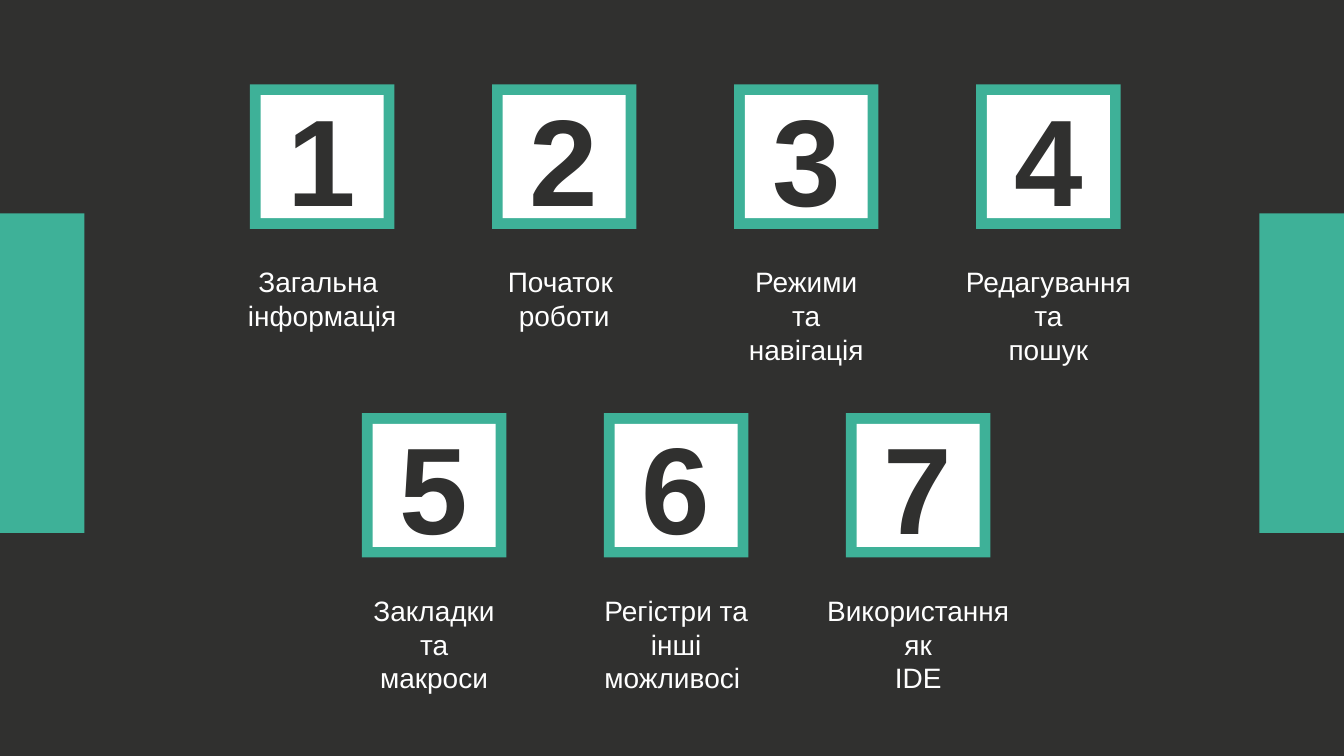
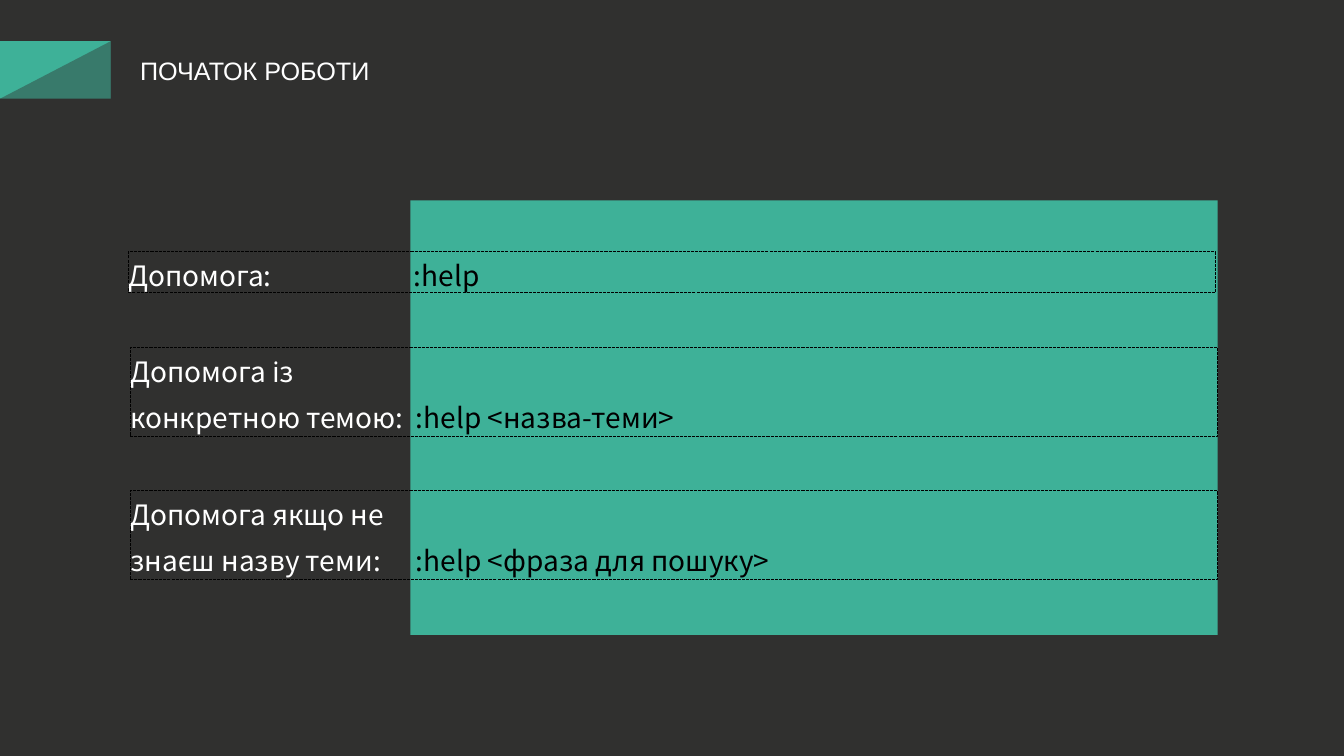
from lxml.etree import SubElement
from pptx import Presentation
from pptx.dml.color import RGBColor
from pptx.enum.dml import MSO_LINE
from pptx.enum.shapes import MSO_SHAPE
from pptx.enum.text import MSO_ANCHOR, MSO_AUTO_SIZE, PP_ALIGN
from pptx.oxml.ns import qn
from pptx.util import Cm, Pt

DARK = RGBColor(0x30, 0x30, 0x2F)
TEAL = RGBColor(0x3E, 0xB1, 0x98)
WHITE = RGBColor(0xFF, 0xFF, 0xFF)
BLACK = RGBColor(0, 0, 0)

WIDE, HIGH = 33.87, 19.05
SIDE, RIM, STEP = 3.64, 0.27, 6.1
TAB = 7.2

DIGIT = {"size": Pt(88), "name": "Arial", "bold": True}
LABEL = {"size": Pt(20), "name": "Arial"}
TITLE = {"size": Pt(18), "name": "Arial"}
HELP = {"size": Pt(20), "name": "Noto Sans CJK SC"}
MIDDLE = {"alignment": PP_ALIGN.CENTER}
LOOSE = {"line_spacing": 1.2, "space_before": Pt(4)}
GROW = {"word_wrap": True, "auto_size": MSO_AUTO_SIZE.SHAPE_TO_FIT_TEXT,
        "vertical_anchor": MSO_ANCHOR.TOP}
FLUSH = {"margin_left": 0, "margin_right": 0, "margin_top": 0, "margin_bottom": 0}

ROWS = [
    (6.3, 2.13, [
        (4.32, ["Загальна ", "інформація"]),
        (3.36, ["Початок ", "роботи"]),
        (3.8, ["Режими та", "навігація"]),
        (5.2, ["Редагування та", "пошук"]),
    ]),
    (9.12, 10.41, [
        (4.3, ["Закладки та", "макроси"]),
        (5.1, ["Регістри та інші", "можливосі "]),
        (5.4, ["Використання як", "IDE"]),
    ]),
]
TOPICS = [
    (3.23, 6.35, 1.02, ["Допомога:"], ":help"),
    (3.28, 8.76, 2.24, ["Допомога із ", "конкретною темою:"],
     ":help <назва-теми>"),
    (3.28, 12.37, 2.24, ["Допомога якщо не", "знаєш назву теми:"],
     ":help <фраза для пошуку>"),
]


def style(item, form):
    """Set each format value on an item."""
    for key, val in form.items():
        setattr(item, key, val)


def write(para, text, font, tint):
    """Add one run of text to a paragraph."""
    run = para.add_run()
    run.text = text
    style(run.font, font)
    run.font.color.rgb = tint


def lines(frame, texts, font, tint, form):
    """Fill a text frame with paragraphs and return the last."""
    for num, text in enumerate(texts):
        para = frame.add_paragraph() if num else frame.paragraphs[0]
        style(para, form)
        write(para, text, font, tint)
    return para


def block(slide, left, top, wide, high, fill=None, kind=MSO_SHAPE.RECTANGLE):
    """Add a flat shape without an outline."""
    shape = slide.shapes.add_shape(kind, Cm(left), Cm(top), Cm(wide), Cm(high))
    shape.shadow.inherit = False
    shape.line.fill.background()
    if fill is None:
        shape.fill.background()
    else:
        shape.fill.solid()
        shape.fill.fore_color.rgb = fill
    return shape


def words(slide, left, top, wide, high, texts, font, form):
    """Add a white text box."""
    box = slide.shapes.add_textbox(Cm(left), Cm(top), Cm(wide), Cm(high))
    style(box.text_frame, GROW)
    lines(box.text_frame, texts, font, WHITE, form)


def tile(slide, left, top, num, wide, texts):
    """Add a framed number with its caption."""
    block(slide, left, top, SIDE, SIDE, TEAL)
    inner = SIDE - 2 * RIM
    face = block(slide, left + RIM, top + RIM, inner, inner, WHITE)
    lines(face.text_frame, [str(num)], DIGIT, DARK, MIDDLE)
    words(slide, left + (SIDE - wide) / 2, top + 4.42, wide, 1.96,
          texts, LABEL, MIDDLE)


def badge(slide, top, wide, high):
    """Add the two-tone title mark."""
    block(slide, 0, top, wide, high, TEAL)
    shade = block(slide, 0, top, wide, high, DARK, MSO_SHAPE.RIGHT_TRIANGLE)
    props = shade.element.spPr
    props.find(qn("a:xfrm")).set("flipH", "1")
    tint = props.find(qn("a:solidFill"))[0]
    SubElement(tint, qn("a:alpha")).set("val", "42000")


def topic(slide, left, top, high, texts, code):
    """Add a dashed box with a label and its command."""
    box = block(slide, left, top, 27.41, high)
    style(box.line, {"width": Pt(0.75), "dash_style": MSO_LINE.SQUARE_DOT})
    box.line.color.rgb = BLACK
    style(box.text_frame, GROW | FLUSH)
    form = LOOSE | {"alignment": PP_ALIGN.LEFT}
    para = lines(box.text_frame, texts, HELP, WHITE, form)
    write(para, "\t" + code, HELP, BLACK)
    tabs = SubElement(para._p.get_or_add_pPr(), qn("a:tabLst"))
    stop = SubElement(tabs, qn("a:tab"))
    stop.set("pos", str(Cm(TAB)))
    stop.set("algn", "l")


def sheet(deck):
    """Add a blank dark slide."""
    slide = deck.slides.add_slide(deck.slide_layouts[6])
    slide.background.fill.solid()
    slide.background.fill.fore_color.rgb = DARK
    return slide


def agenda(deck):
    """Build the slide of numbered parts."""
    slide = sheet(deck)
    for left in (0, WIDE - 2.13):
        block(slide, left, 5.38, 2.13, 8.05, TEAL)
    num = 0
    for left, top, items in ROWS:
        for col, (wide, texts) in enumerate(items):
            num += 1
            tile(slide, left + col * STEP, top, num, wide, texts)


def guide(deck):
    """Build the slide of help commands."""
    slide = sheet(deck)
    block(slide, 10.34, 5.05, 20.35, 10.95, TEAL)
    badge(slide, 1.04, 2.79, 1.45)
    words(slide, 3.28, 1.27, 7, 1.02, ["ПОЧАТОК РОБОТИ"], TITLE, {})
    for item in TOPICS:
        topic(slide, *item)


def main():
    """Build and save the deck."""
    deck = Presentation()
    style(deck, {"slide_width": Cm(WIDE), "slide_height": Cm(HIGH)})
    agenda(deck)
    guide(deck)
    deck.save("out.pptx")


main()
